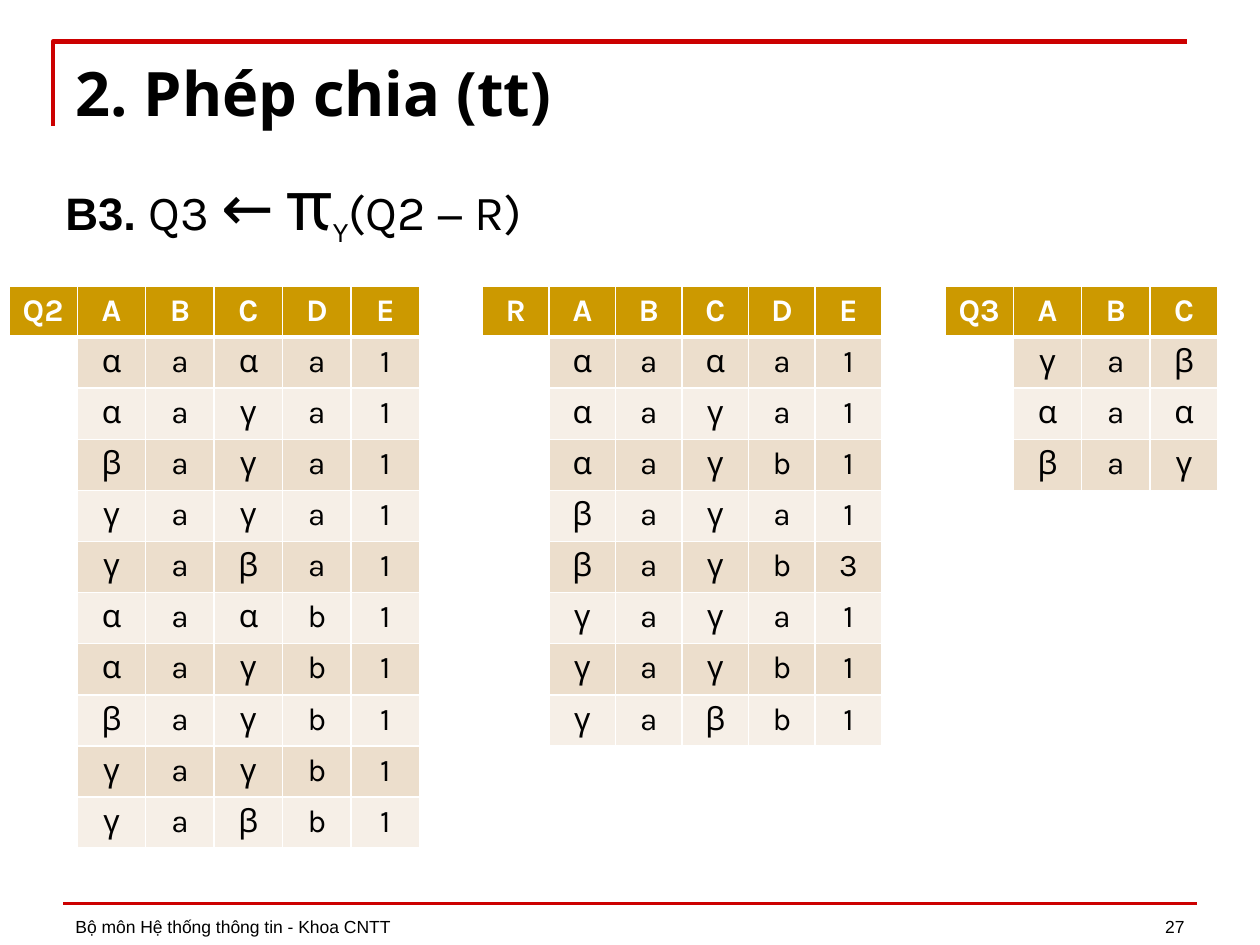
from lxml import etree
from pptx import Presentation
from pptx import util as u
from pptx.dml.color import RGBColor
from pptx.enum import shapes, text
from pptx.oxml.ns import qn

COLORS = {
    "rule": "CC0000",
    "ink": "000000",
    "white": "FFFFFF",
    "header": "CC9900",
    "bands": ("ECDECC", "F6EFE7"),
}
LEFT, CENTER, RIGHT, JUSTIFY = (
    text.PP_ALIGN.LEFT, text.PP_ALIGN.CENTER, text.PP_ALIGN.RIGHT, text.PP_ALIGN.JUSTIFY)
TOP, BOTTOM = text.MSO_ANCHOR.TOP, text.MSO_ANCHOR.BOTTOM


def rgb(name):
    return RGBColor.from_string(COLORS.get(name, name))


def add_run(paragraph, words, font="Karla", size=18, color="ink", bold=False, baseline=0):
    """Append a run; baseline is a percentage, negative for a subscript."""
    run = paragraph.add_run()
    run.text = words
    run.font.name = font
    run.font.size = u.Pt(size)
    run.font.bold = bold
    run.font.color.rgb = rgb(color)
    properties = run.font._element
    for script in ("a:ea", "a:cs"):
        etree.SubElement(properties, qn(script), typeface=font)
    if baseline:
        properties.set("baseline", str(baseline * 1000))


def set_borders(cell, **widths):
    """Draw white borders; widths in points are keyed by side: L, R, T, B."""
    properties = cell._tc.get_or_add_tcPr()
    for position, side in enumerate("LRTB"):
        width = u.Pt(widths.get(side, 1))
        line = etree.Element(qn(f"a:ln{side}"), w=str(width))
        fill = etree.SubElement(line, qn("a:solidFill"))
        etree.SubElement(fill, qn("a:srgbClr"), val=COLORS["white"])
        properties.insert(position, line)


class RelationSlide:
    """The current slide and the style shared by its elements."""

    row_height = 0.4056
    table_top = 2.27

    def __init__(self, presentation):
        self.slide = presentation.slides.add_slide(presentation.slide_layouts[6])
        self.shapes = self.slide.shapes

    def corner(self, *points):
        (x, y), *rest = [(u.Inches(px), u.Inches(py)) for px, py in points]
        builder = self.shapes.build_freeform(x, y)
        builder.add_line_segments(rest, close=False)
        outline = builder.convert_to_shape()
        outline.shadow.inherit = False
        outline.fill.background()
        outline.line.color.rgb = rgb("rule")
        outline.line.width = u.Pt(2.5)

    def rule(self, left, right, y):
        line = self.shapes.add_connector(
            shapes.MSO_CONNECTOR.STRAIGHT,
            u.Inches(left), u.Inches(y), u.Inches(right), u.Inches(y))
        line.line.color.rgb = rgb("rule")
        line.line.width = u.Pt(2)
        etree.SubElement(line._element.spPr, qn("a:effectLst"))

    def textbox(self, box, runs, align=LEFT, anchor=TOP):
        """Place one paragraph made of (words, format) pairs."""
        frame = self.shapes.add_textbox(*map(u.Inches, box)).text_frame
        frame.word_wrap = True
        frame.vertical_anchor = anchor
        paragraph = frame.paragraphs[0]
        paragraph.alignment = align
        for words, style in runs:
            add_run(paragraph, words, **style)

    def relation(self, name, attributes, tuples, left, width, merged):
        """Draw a relation whose name column is blank and merged below the header."""
        rows = [name + " " + attributes] + tuples
        columns = len(attributes.split()) + 1
        table = self.shapes.add_table(
            len(rows), columns, u.Inches(left), u.Inches(self.table_top),
            u.Inches(width), u.Inches(self.row_height * len(rows))).table
        table.first_row = table.horz_banding = False
        for column in table.columns:
            column.width = u.Inches(width / columns)
        for r, row in enumerate(rows):
            table.rows[r].height = u.Inches(self.row_height)
            values = row.split() if r == 0 else [""] + row.split()
            for c, value in enumerate(values):
                self.cell(table.cell(r, c), value, r)
        table.cell(1, 0).merge(table.cell(merged, 0))

    def cell(self, cell, value, row):
        header = row == 0
        if value:
            cell.fill.solid()
            cell.fill.fore_color.rgb = rgb("header" if header else COLORS["bands"][(row - 1) % 2])
            paragraph = cell.text_frame.paragraphs[0]
            paragraph.alignment = CENTER
            add_run(paragraph, value, color="white" if header else "ink", bold=header)
        else:
            cell.fill.background()
        set_borders(cell, B=3 if header else 1, T=3 if row == 1 else 1)


def main():
    presentation = Presentation()
    presentation.slide_width, presentation.slide_height = u.Inches(10), u.Inches(7.5)
    division = RelationSlide(presentation)

    division.corner((0.42, 1), (0.42, 0.33), (9.42, 0.33))
    division.rule(0.5, 9.5, 7.17)

    footer = dict(font="Arial", size=10)
    division.textbox((0.5, 6.99, 6.08, 0.5),
                     [("Bộ môn Hệ thống thông tin - Khoa CNTT", footer)], anchor=BOTTOM)
    division.textbox((7.17, 6.99, 2.33, 0.5), [("27", footer)], RIGHT, BOTTOM)
    division.textbox((0.5, 0.39, 9.33, 0.68),
                     [("2. Phép chia (tt)", dict(font="Open Sans", size=35, bold=True))])
    division.textbox((0.42, 1.17, 9, 0.84), [
        ("B3. ", dict(font="Arial", size=26, bold=True)),
        ("Q3 ", dict(size=28)),
        ("←", dict(size=36)),
        (" ", dict(size=28)),
        ("π", dict(size=44)),
        ("Y", dict(size=28, baseline=-25)),
        ("(Q2 − R)", dict(size=28)),
    ], JUSTIFY)

    division.relation("Q2", "A B C D E", [
        "α a α a 1", "α a γ a 1", "β a γ a 1", "γ a γ a 1", "γ a β a 1",
        "α a α b 1", "α a γ b 1", "β a γ b 1", "γ a γ b 1", "γ a β b 1",
    ], left=0.07, width=3.26, merged=5)
    division.relation("R", "A B C D E", [
        "α a α a 1", "α a γ a 1", "α a γ b 1", "β a γ a 1",
        "β a γ b 3", "γ a γ a 1", "γ a γ b 1", "γ a β b 1",
    ], left=3.83, width=3.17, merged=8)
    division.relation("Q3", "A B C", ["γ a β", "α a α", "β a γ"],
                      left=7.5, width=2.17, merged=3)

    presentation.save("out.pptx")


if __name__ == "__main__":
    main()
